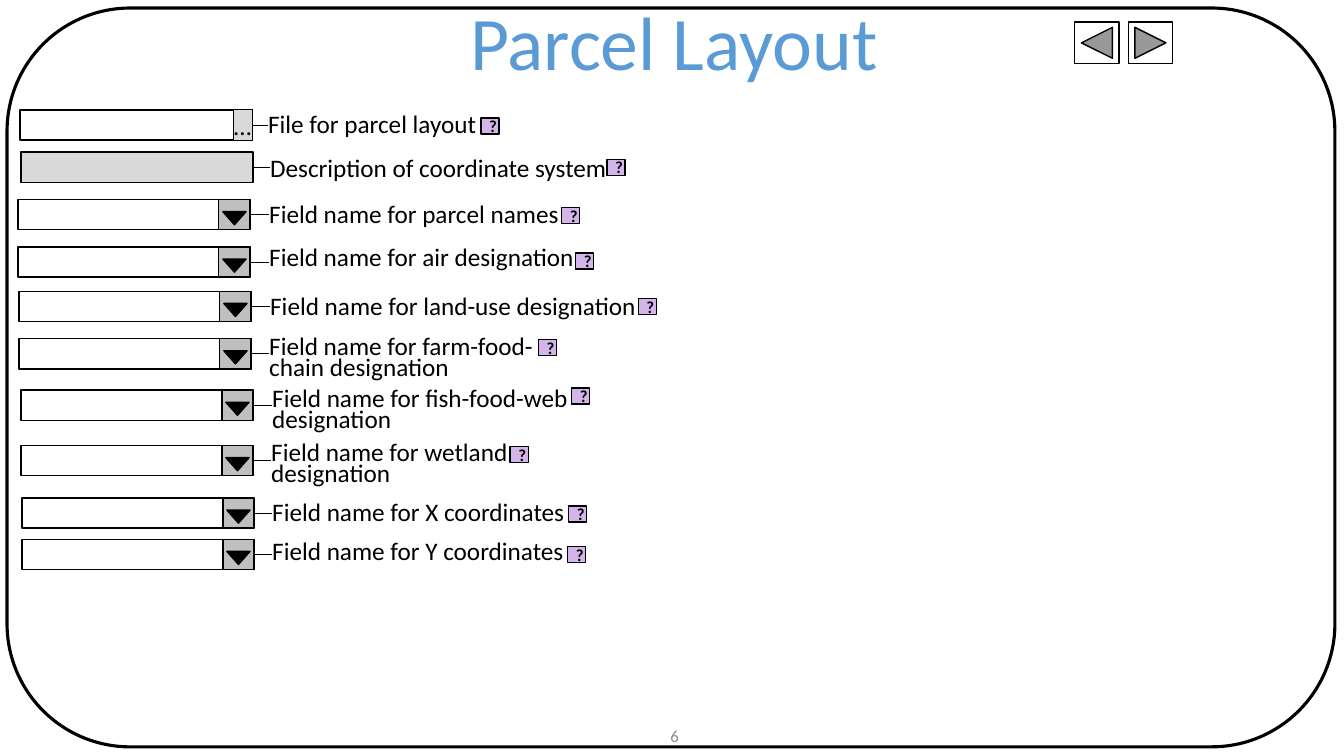
from lxml import etree
from pptx import Presentation
from pptx.dml.color import RGBColor
from pptx.enum.shapes import MSO_CONNECTOR, MSO_SHAPE
from pptx.enum.text import MSO_ANCHOR, MSO_AUTO_SIZE, PP_ALIGN
from pptx.oxml.ns import qn
from pptx.util import Inches, Pt

RECT, TRIANGLE = MSO_SHAPE.RECTANGLE, MSO_SHAPE.ISOSCELES_TRIANGLE
ROUNDED = MSO_SHAPE.ROUNDED_RECTANGLE
BACK = MSO_SHAPE.ACTION_BUTTON_BACK_OR_PREVIOUS
FORWARD = MSO_SHAPE.ACTION_BUTTON_FORWARD_OR_NEXT
LEFT, CENTER = PP_ALIGN.LEFT, PP_ALIGN.CENTER
TOP, MIDDLE = MSO_ANCHOR.TOP, MSO_ANCHOR.MIDDLE
STRAIGHT = MSO_CONNECTOR.STRAIGHT
RIGHT_SIDE = 3

BLACK = RGBColor(0x00, 0x00, 0x00)
WHITE = RGBColor(0xFF, 0xFF, 0xFF)
BLUE = RGBColor(0x5B, 0x9B, 0xD5)
GRAY = RGBColor(0x8C, 0x8C, 0x8C)
BUTTON_GRAY = RGBColor(0xBF, 0xBF, 0xBF)
LIGHT_GRAY = RGBColor(0xD9, 0xD9, 0xD9)
LILAC = RGBColor(0xD3, 0xB5, 0xE9)

TITLE = "Parcel Layout"
PAGE = "6"
# kind, label, field (x, y), label (x, y, w, h), help badge (x, y)
ROWS = [
    ("file", "File for parcel layout", (0.2, 1.09), (2.66, 1.17, 2.9, 0.22), (4.77, 1.17)),
    ("readout", "Description of coordinate system", (0.21, 1.51), (2.68, 1.51, 3.37, 0.3), (6.02, 1.58)),
    ("list", "Field name for parcel names", (0.18, 1.98), (2.67, 2.06, 3.75, 0.21), (5.57, 2.06)),
    ("list", "Field name for air designation", (0.18, 2.45), (2.67, 2.49, 3.05, 0.21), (5.71, 2.51)),
    ("list", "Field name for land-use designation", (0.19, 2.89), (2.68, 2.97, 3.75, 0.22), (6.33, 2.96)),
    ("list", "Field name for farm-food-chain designation", (0.19, 3.36), (2.67, 3.37, 3.05, 0.42), (5.34, 3.37)),
    ("list", "Field name for fish-food-web designation", (0.21, 3.87), (2.7, 3.88, 3.75, 0.43), (5.67, 3.85)),
    ("list", "Field name for wetland designation", (0.21, 4.42), (2.69, 4.42, 3.05, 0.42), (5.06, 4.43)),
    ("list", "Field name for X coordinates", (0.22, 4.94), (2.7, 5.02, 3.75, 0.21), (5.64, 5.02)),
    ("list", "Field name for Y coordinates", (0.22, 5.35), (2.7, 5.4, 3.05, 0.21), (5.63, 5.42)),
]
NAV_BUTTONS = [(BACK, 10.66), (FORWARD, 11.19)]
FIELD_W, FIELD_H = 2.3, 0.3
BROWSE_W, DROP_W = 0.18, 0.31


def set_text(shape, text, size=18, color=BLACK, bold=False, align=LEFT,
             anchor=TOP, inset=None, wrap=True, spacing=None, grow=False):
    tf = shape.text_frame
    tf.word_wrap = wrap
    tf.auto_size = MSO_AUTO_SIZE.SHAPE_TO_FIT_TEXT if grow else MSO_AUTO_SIZE.NONE
    tf.vertical_anchor = anchor
    if inset is not None:
        tf.margin_left = tf.margin_right = Inches(inset)
        tf.margin_top = tf.margin_bottom = Inches(inset)
    p = tf.paragraphs[0]
    p.alignment = align
    if spacing:
        p.line_spacing = Pt(spacing)
    r = p.add_run()
    r.text = text
    r.font.name, r.font.size = "Calibri", Pt(size)
    r.font.bold, r.font.color.rgb = bold, color


def add_shape(s, kind, x, y, w, h, fill=None, line=1):
    sp = s.shapes.add_shape(kind, Inches(x), Inches(y), Inches(w), Inches(h))
    sp.shadow.inherit = False
    if fill is None:
        sp.fill.background()
    else:
        sp.fill.solid()
        sp.fill.fore_color.rgb = fill
    sp.line.color.rgb = BLACK
    sp.line.width = Pt(line)
    return sp


def add_text(s, text, x, y, w, h, **fmt):
    set_text(s.shapes.add_textbox(Inches(x), Inches(y), Inches(w), Inches(h)), text, **fmt)


def add_field(s, kind, x, y):
    """Draw the input field and return its rightmost part."""
    fill = LIGHT_GRAY if kind == "readout" else WHITE
    field = add_shape(s, RECT, x, y, FIELD_W, FIELD_H, fill)
    if kind == "file":
        browse = add_shape(s, RECT, x + FIELD_W - BROWSE_W, y, BROWSE_W, FIELD_H, LIGHT_GRAY, 0.75)
        set_text(browse, "…", anchor=MIDDLE, inset=0)
        return browse
    if kind == "list":
        drop_x = x + FIELD_W - DROP_W
        drop = add_shape(s, RECT, drop_x, y, DROP_W, FIELD_H, BUTTON_GRAY)
        add_shape(s, TRIANGLE, drop_x + 0.04, y + 0.12, 0.23, 0.13, BLACK).rotation = 180
        return drop
    return field


def add_leader(s, source, x, y):
    line = s.shapes.add_connector(STRAIGHT, Inches(x), Inches(y), Inches(x), Inches(y))
    line.begin_connect(source, RIGHT_SIDE)
    line.line.color.rgb = BLACK
    line.line.width = Pt(0.5)
    etree.SubElement(line._element.spPr, qn("a:effectLst"))


def add_row(s, kind, label, field_at, label_at, badge_at):
    source = add_field(s, kind, *field_at)
    add_leader(s, source, label_at[0], field_at[1] + FIELD_H / 2)
    readout = kind == "readout"
    add_text(s, label, *label_at, inset=0, wrap=not readout,
             spacing=None if readout else 15, grow=True)
    badge = add_shape(s, RECT, *badge_at, 0.18, 0.16, LILAC)
    set_text(badge, "?", size=12, bold=True, align=CENTER, anchor=MIDDLE)


def main():
    prs = Presentation()
    prs.slide_width, prs.slide_height = Inches(13.33), Inches(7.5)
    s = prs.slides.add_slide(prs.slide_layouts[5])
    title = s.shapes.title
    title.left, title.top = Inches(4.54), Inches(-0.1)
    title.width, title.height = Inches(4.29), Inches(1.01)
    set_text(title, TITLE, size=54, color=BLUE, align=CENTER, wrap=False, grow=True)
    add_text(s, PAGE, 5.19, 7.1, 3, 0.4, size=12, color=GRAY, align=CENTER, anchor=MIDDLE)
    for row in ROWS:
        add_row(s, *row)
    add_shape(s, ROUNDED, 0.07, 0.08, 13.17, 7.33, line=2.25)
    for kind, x in NAV_BUTTONS:
        add_shape(s, kind, x, 0.22, 0.44, 0.41, WHITE)
    prs.save("out.pptx")


if __name__ == "__main__":
    main()
